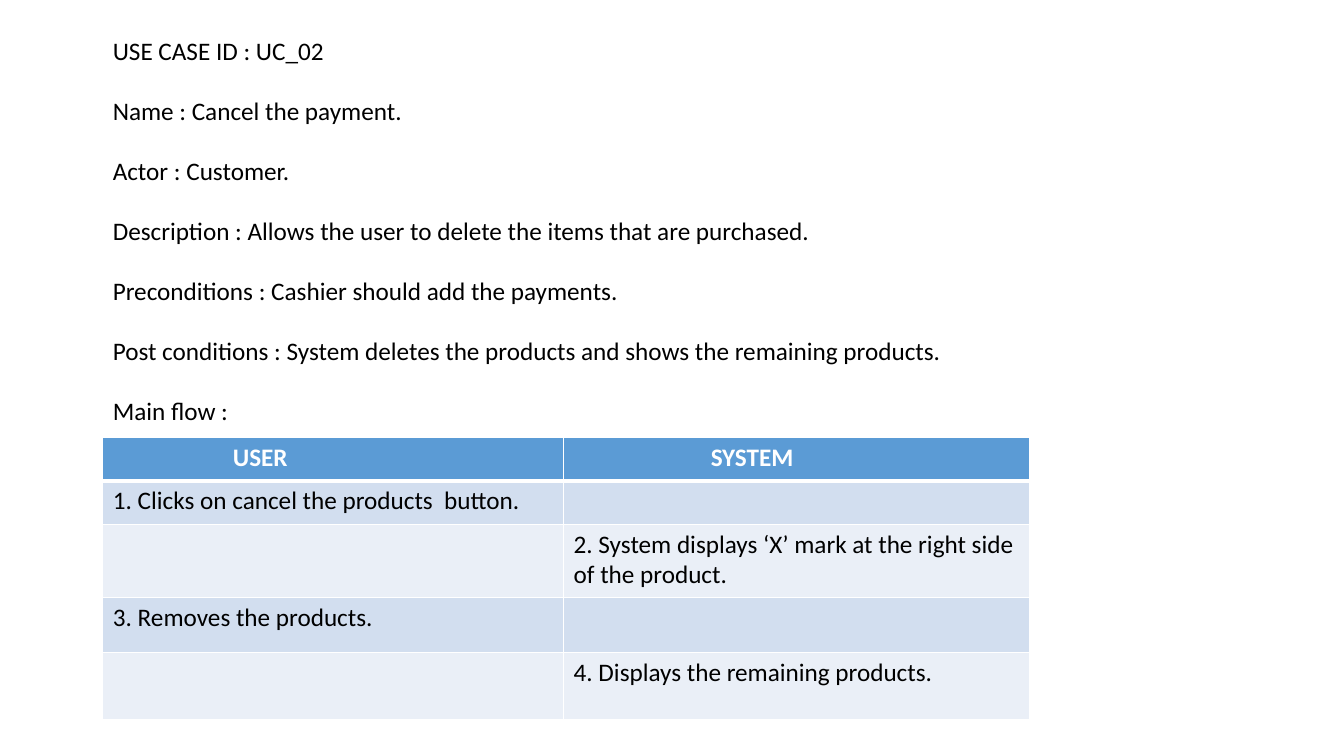
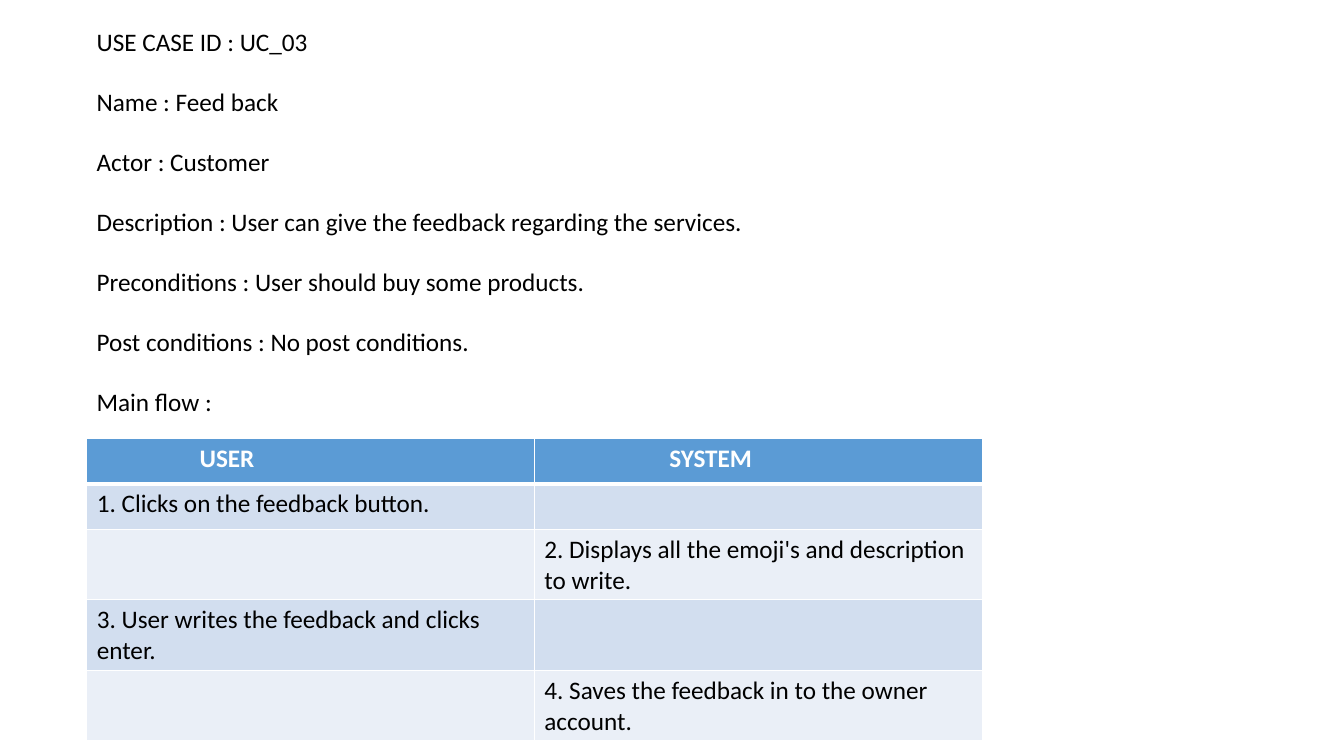
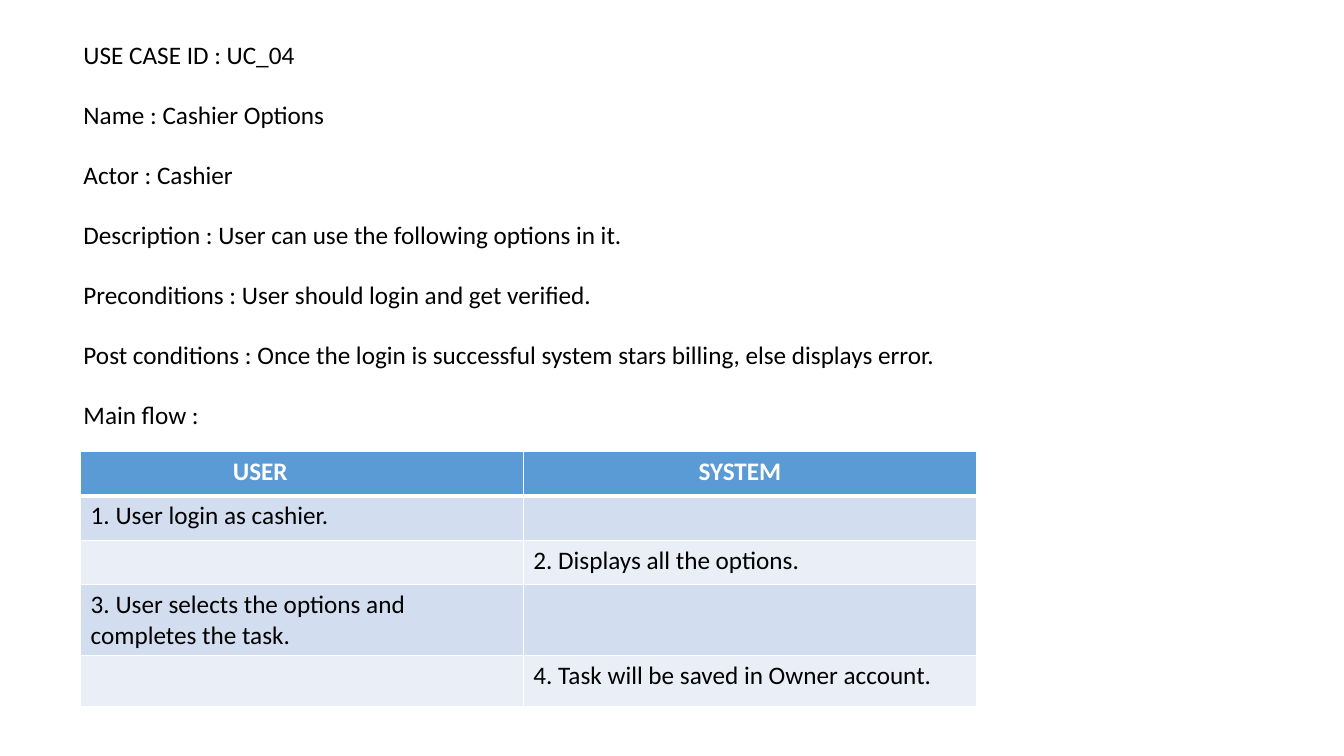
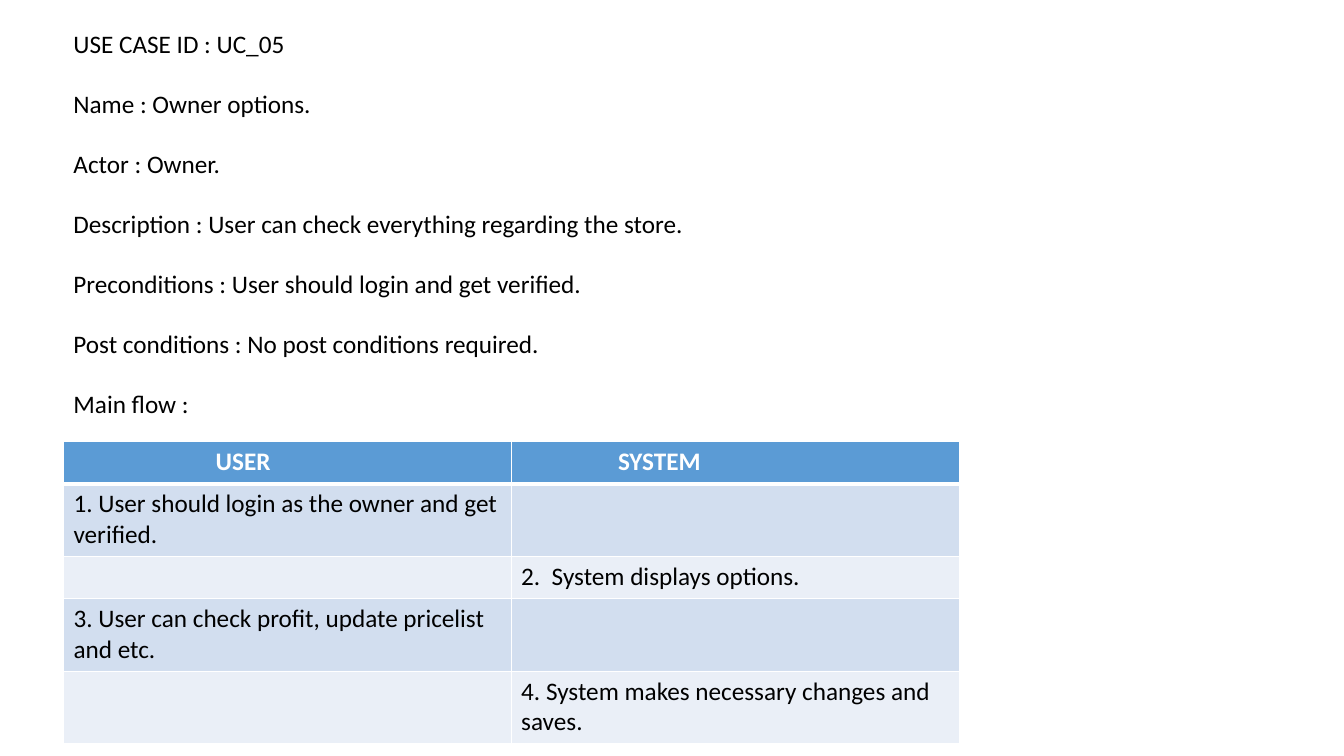
from pptx import Presentation
from pptx.dml.color import RGBColor
from pptx.enum.text import MSO_AUTO_SIZE
from pptx.oxml import parse_xml
from pptx.oxml.ns import nsdecls
from pptx.util import Inches, Pt

FIT = MSO_AUTO_SIZE.SHAPE_TO_FIT_TEXT

# Shared look
WHITE, BLACK = "FFFFFF", "000000"
HEAD, BANDS = "5B9BD5", ("D2DEEF", "EAEFF7")
FONT, SIZE, GAP = "Calibri", Pt(18), Pt(21.3)
PAD = 0.1
LABELS = ("USE CASE ID", "Name", "Actor", "Description",
          "Preconditions", "Post conditions", "Main flow")
TITLES = ("USER", "SYSTEM")

# One entry per use case; steps alternate between user and system
CASES = [
    {"text": (1.02, 0.3, 9.19), "table": (1.02, 4.34, 9.19), "user": 4.57,
     "rows": (0.43, 0.43, 0.73, 0.54, 0.67), "indents": (1.19, 1.36),
     "facts": ("UC_02", "Cancel the payment.", "Customer.",
               "Allows the user to delete the items that are purchased.",
               "Cashier should add the payments.",
               "System deletes the products and shows the remaining products."),
     "steps": ("1. Clicks on cancel the products  button.",
               "2. System displays ‘X’ mark at the right side\nof the product.",
               "3. Removes the products.",
               "4. Displays the remaining products.")},
    {"text": (0.86, 0.21, 8.89), "table": (0.86, 4.35, 8.89), "user": 4.44,
     "rows": (0.45, 0.45, 0.7, 0.7, 0.7), "indents": (1.02, 1.24),
     "facts": ("UC_03", "Feed back", "Customer",
               "User can give the feedback regarding the services.",
               "User should buy some products.",
               "No post conditions."),
     "steps": ("1. Clicks on the feedback button.",
               "2. Displays all the emoji's and description to write.",
               "3. User writes the feedback and clicks enter.",
               "4. Saves the feedback in to the owner account.")},
    {"text": (0.73, 0.34, 8.96), "table": (0.8, 4.48, 8.89), "user": 4.39,
     "rows": (0.44, 0.44, 0.44, 0.69, 0.51), "indents": (1.41, 1.64),
     "facts": ("UC_04", "Cashier Options", "Cashier",
               "User can use the following options in it.",
               "User should login and get verified.",
               "Once the login is successful system stars billing, "
               "else displays error."),
     "steps": ("1. User login as cashier.",
               "2. Displays all the options.",
               "3. User selects the options and completes the task.",
               "4. Task will be saved in Owner account.")},
    {"text": (0.63, 0.23, 8.89), "table": (0.63, 4.38, 8.89), "user": 4.44,
     "rows": (0.42, 0.72, 0.42, 0.72, 0.72), "indents": (1.41, 0.96),
     "facts": ("UC_05", "Owner options.", "Owner.",
               "User can check everything regarding the store.",
               "User should login and get verified.",
               "No post conditions required."),
     "steps": ("1. User should login as the owner and get verified.",
               "2.  System displays options.",
               "3. User can check profit, update pricelist and etc.",
               "4. System makes necessary changes and saves.")},
]


def write(frame, text, color=BLACK, bold=False):
    frame.text = text
    look = {"name": FONT, "size": SIZE, "bold": bold}
    for para in frame.paragraphs:
        for key, value in look.items():
            setattr(para.font, key, value)
        para.font.color.rgb = RGBColor.from_string(color)


def dress(cell, fill, top, bottom):
    props = cell._tc.get_or_add_tcPr()
    for side, width in (("L", 1), ("R", 1), ("T", top), ("B", bottom)):
        props.append(parse_xml(
            f'<a:ln{side} {nsdecls("a")} w="{Pt(width)}"><a:solidFill>'
            f'<a:srgbClr val="{WHITE}"/></a:solidFill></a:ln{side}>'))
    cell.fill.solid()
    cell.fill.fore_color.rgb = RGBColor.from_string(fill)


prs = Presentation()
prs.slide_width, prs.slide_height = Inches(13.33), Inches(7.5)

for case in CASES:
    slide = prs.slides.add_slide(prs.slide_layouts[6])

    # Facts
    left, top, width = case["text"]
    box = slide.shapes.add_textbox(Inches(left), Inches(top),
                                   Inches(width), Inches(4.04))
    frame = box.text_frame
    frame.word_wrap, frame.auto_size = True, FIT
    facts = case["facts"] + ("",)
    write(frame, "\n".join(f"{label} : {fact}".rstrip()
                           for label, fact in zip(LABELS, facts)))
    for para in frame.paragraphs[1:]:
        para.space_before = GAP

    # Main flow table
    left, top, width = case["table"]
    rows, user = case["rows"], case["user"]
    table = slide.shapes.add_table(
        len(rows), 2, Inches(left), Inches(top),
        Inches(width), Inches(sum(rows))).table
    for col, size in zip(table.columns, (user, width - user)):
        col.width = Inches(size)
    for r, high in enumerate(rows):
        table.rows[r].height = Inches(high)
        for c in range(2):
            cell = table.cell(r, c)
            if r == 0:
                dress(cell, HEAD, 1, 3)
                cell.margin_left = Inches(PAD + case["indents"][c])
                write(cell.text_frame, TITLES[c], WHITE, True)
            else:
                dress(cell, BANDS[(r - 1) % 2], 3 if r == 1 else 1, 1)
                mine = (r - 1) % 2 == c
                write(cell.text_frame, case["steps"][r - 1] if mine else "")

prs.save("out.pptx")
